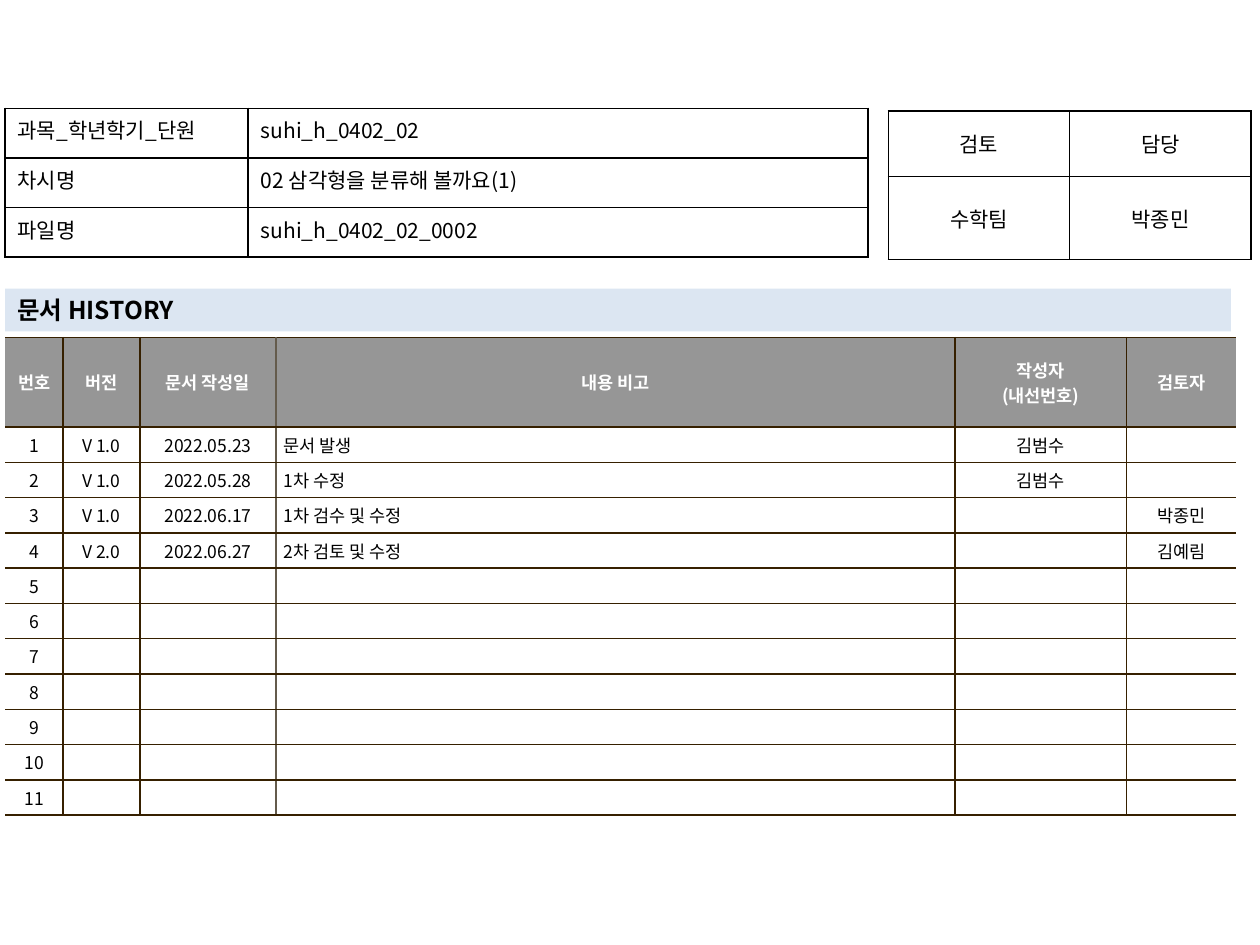
from lxml import etree
from pptx import Presentation
from pptx import util as u
from pptx.dml.color import RGBColor
from pptx.enum import shapes, text
from pptx.oxml import ns

FONT = "Noto Sans CJK KR"
BLACK, WHITE, GREY, PALE_BLUE = "000000", "FFFFFF", "969696", "DCE6F2"
BROWN, TAUPE = "362000", "645B4C"
LEFT, CENTER, JUSTIFY = (
    text.PP_ALIGN.LEFT, text.PP_ALIGN.CENTER, text.PP_ALIGN.JUSTIFY)
TOP, MIDDLE = text.MSO_ANCHOR.TOP, text.MSO_ANCHOR.MIDDLE

HEADINGS = ["번호", "버전", "문서 작성일", "내용 비고", "작성자\n(내선번호)", "검토자"]
HISTORY = [
    ["V 1.0", "2022.05.23", "문서 발생", "김범수", ""],
    ["V 1.0", "2022.05.28", "1차 수정", "김범수", ""],
    ["V 1.0", "2022.06.17", "1차 검수 및 수정", "", "박종민"],
    ["V 2.0", "2022.06.27", "2차 검토 및 수정", "", "김예림"],
]
HISTORY_ROWS = 11
NOTE_COLUMN = 3
DOCUMENT = [
    ["과목_학년학기_단원", "suhi_h_0402_02"],
    ["차시명", "02 삼각형을 분류해 볼까요(1)"],
    ["파일명", "suhi_h_0402_02_0002"],
]
APPROVAL = [["검토", "담당"], ["수학팀", "박종민"]]


def color(value):
    """Turn a hex string into a colour."""
    return RGBColor.from_string(value)


def write(frame, content, size, ink=BLACK, bold=False, align=LEFT, hang=0):
    """Write one paragraph for each line of the content."""
    for index, line in enumerate(content.split("\n")):
        para = frame.add_paragraph() if index else frame.paragraphs[0]
        para.alignment = align
        if hang:
            properties = para._p.get_or_add_pPr()
            properties.set("marL", str(u.Inches(hang)))
            properties.set("indent", str(-u.Inches(hang)))
        if not line:
            etree.SubElement(para._p, ns.qn("a:endParaRPr"), sz=str(size * 100))
            continue
        span = para.add_run()
        span.text = line
        span.font.size, span.font.bold = u.Pt(size), bold
        span.font.name = FONT
        span.font.color.rgb = color(ink)
        etree.SubElement(span._r.get_or_add_rPr(), ns.qn("a:ea"), typeface=FONT)


def draw_borders(cell, left, right, top, bottom):
    """Draw the four sides of a cell, leaving out those without a colour."""
    properties = cell._tc.get_or_add_tcPr()
    for side, ink in zip("LRTB", (left, right, top, bottom)):
        line = etree.SubElement(properties, ns.qn(f"a:ln{side}"), w=str(u.Pt(1)))
        if ink:
            fill = etree.SubElement(line, ns.qn("a:solidFill"))
            etree.SubElement(fill, ns.qn("a:srgbClr"), val=ink)
        else:
            etree.SubElement(line, ns.qn("a:noFill"))


def add_grid(page, box, widths, heights):
    """Add a plain table in the box and return it."""
    table = page.shapes.add_table(
        len(heights), len(widths), *map(u.Inches, box)).table
    table.first_row = table.horz_banding = False
    for column, width in zip(table.columns, widths):
        column.width = u.Inches(width)
    for row, height in zip(table.rows, heights):
        row.height = u.Inches(height)
    return table


def add_form(page, box, widths, heights, rows, aligns, anchor):
    """Add a small black-ruled form table."""
    table = add_grid(page, box, widths, heights)
    for r, row in enumerate(rows):
        for c, content in enumerate(row):
            cell = table.cell(r, c)
            cell.vertical_anchor = anchor
            draw_borders(cell, BLACK, BLACK, BLACK, BLACK)
            cell.fill.background()
            write(cell.text_frame, content, 12, align=aligns[c])


def add_history(page, box):
    """Add the revision table with its grey heading row."""
    widths = [0.46, 0.61, 1.08, 5.39, 1.36, 0.87]
    heights = [0.71] + [0.25] * HISTORY_ROWS
    table = add_grid(page, box, widths, heights)
    rules = [None, BROWN, BROWN, TAUPE, BROWN, BROWN, None]
    rows = [HEADINGS]
    for number in range(1, HISTORY_ROWS + 1):
        entry = HISTORY[number - 1] if number <= len(HISTORY) else [""] * 5
        rows.append([str(number)] + entry)
    for r, row in enumerate(rows):
        heading = r == 0
        for c, content in enumerate(row):
            cell = table.cell(r, c)
            cell.vertical_anchor = MIDDLE
            cell.margin_left = cell.margin_right = u.Inches(0.06)
            cell.margin_top = cell.margin_bottom = u.Inches(0.04)
            draw_borders(cell, rules[c], rules[c + 1], BROWN, BROWN)
            cell.fill.solid()
            cell.fill.fore_color.rgb = color(GREY if heading else WHITE)
            note = c == NOTE_COLUMN and not heading
            write(cell.text_frame, content, 10, WHITE if heading else BLACK,
                  heading, LEFT if note else CENTER, 0.19 if note else 0)


def add_banner(page, box):
    """Add the pale heading bar above the revision table."""
    bar = page.shapes.add_shape(
        shapes.MSO_SHAPE.RECTANGLE, *map(u.Inches, box))
    bar.shadow.inherit = False
    bar.fill.solid()
    bar.fill.fore_color.rgb = color(PALE_BLUE)
    bar.line.fill.background()
    bar.text_frame.word_wrap = True
    bar.text_frame.vertical_anchor = TOP
    write(bar.text_frame, "문서 HISTORY", 14, bold=True)


def main():
    """Build the document history slide."""
    deck = Presentation()
    deck.slide_width, deck.slide_height = u.Inches(10), u.Inches(7.5)
    page = deck.slides.add_slide(deck.slide_layouts[6])
    add_history(page, (0.04, 2.68, 9.77, 3.46))
    add_form(page, (7.05, 0.88, 2.88, 1.18), [1.44] * 2, [0.52, 0.66],
             APPROVAL, [CENTER, CENTER], MIDDLE)
    add_banner(page, (0.04, 2.29, 9.73, 0.34))
    add_form(page, (0.04, 0.86, 6.85, 1.18), [1.93, 4.92], [1.18 / 3] * 3,
             DOCUMENT, [JUSTIFY, LEFT], TOP)
    deck.save("out.pptx")


if __name__ == "__main__":
    main()
